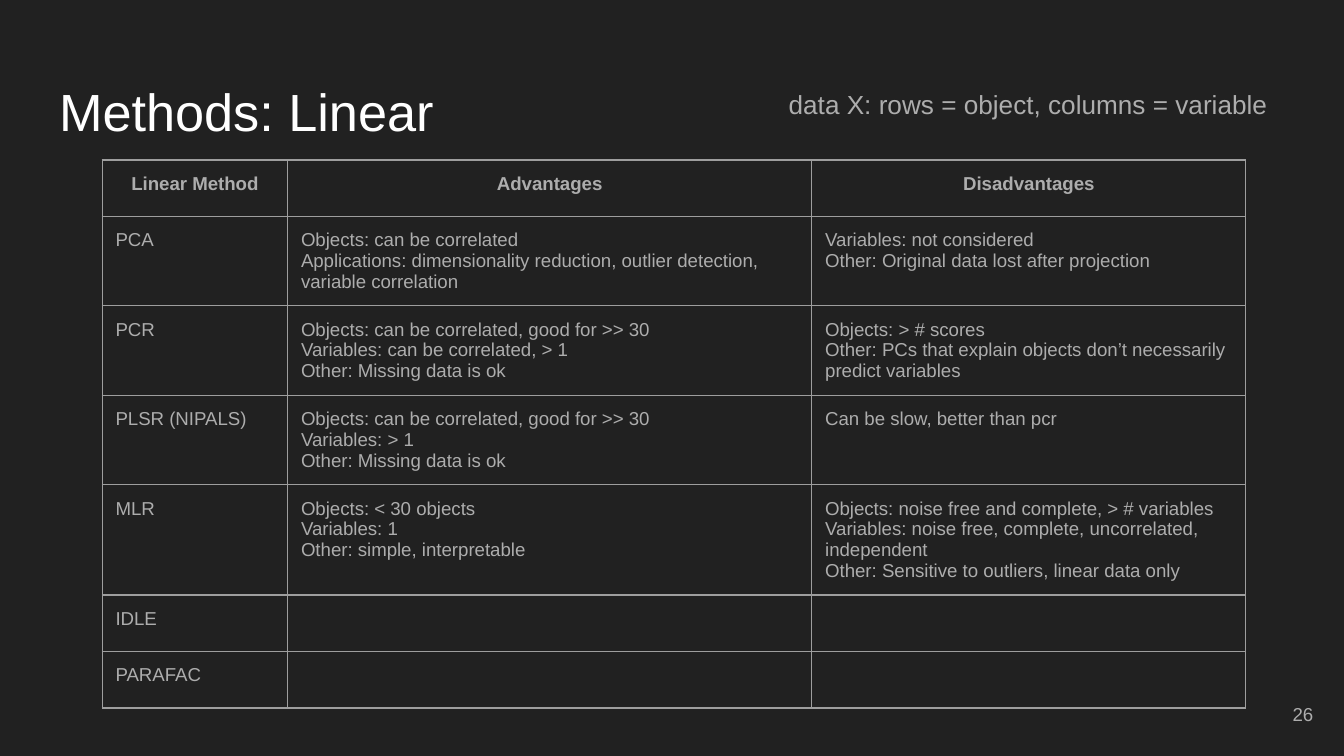
from pptx import Presentation
from pptx.dml.color import RGBColor
from pptx.enum.text import MSO_ANCHOR, PP_ALIGN
from pptx.oxml import parse_xml
from pptx.oxml.ns import nsdecls
from pptx.util import Inches, Pt

LEFT, CENTER, RIGHT = PP_ALIGN.LEFT, PP_ALIGN.CENTER, PP_ALIGN.RIGHT
TOP, MIDDLE = MSO_ANCHOR.TOP, MSO_ANCHOR.MIDDLE

FONT = "Arial"
COLORS = {"background": "212121", "title": "FFFFFF", "body": "ADADAD", "border": "9E9E9E"}
SLIDE_WIDTH = 10
SLIDE_HEIGHT = SLIDE_WIDTH * 9 / 16
INSET = 0.1
BORDER_WIDTH = 0.75
COLUMN_WIDTHS = [1.38, 3.9, 3.23]
ROW_HEIGHT = 0.42
TITLE_ONLY = 5

HEADER = ["Linear Method", "Advantages", "Disadvantages"]
METHODS = [
    ["PCA",
     "Objects: can be correlated\n"
     "Applications: dimensionality reduction, outlier detection, variable correlation",
     "Variables: not considered\nOther: Original data lost after projection"],
    ["PCR",
     "Objects: can be correlated, good for >> 30\n"
     "Variables: can be correlated, > 1\nOther: Missing data is ok",
     "Objects: > # scores\n"
     "Other: PCs that explain objects don’t necessarily predict variables"],
    ["PLSR (NIPALS)",
     "Objects: can be correlated, good for >> 30\nVariables: > 1\nOther: Missing data is ok",
     "Can be slow, better than pcr"],
    ["MLR",
     "Objects: < 30 objects\nVariables: 1\nOther: simple, interpretable",
     "Objects: noise free and complete, > # variables\n"
     "Variables: noise free, complete, uncorrelated, independent\n"
     "Other: Sensitive to outliers, linear data only"],
    ["IDLE", "", ""],
    ["PARAFAC", "", ""],
]


def write(frame, text, size=10, color="body", bold=False, align=LEFT):
    """Fill a text frame, one paragraph per line of text."""
    frame.word_wrap = True
    frame.text = text
    for paragraph in frame.paragraphs:
        paragraph.alignment = align
        for run in paragraph.runs:
            run.font.name = FONT
            run.font.size = Pt(size)
            run.font.bold = bold
            run.font.color.rgb = RGBColor.from_string(COLORS[color])
        if not paragraph.runs:  # keeps empty cells as low as the others
            paragraph._p.get_or_add_endParaRPr().set("sz", str(size * 100))


def set_insets(holder):
    holder.margin_left = holder.margin_right = Inches(INSET)
    holder.margin_top = holder.margin_bottom = Inches(INSET)


def add_title(slide, box, text):
    title = slide.shapes.title
    title.left, title.top, title.width, title.height = map(Inches, box)
    set_insets(title.text_frame)
    title.text_frame.vertical_anchor = TOP
    write(title.text_frame, text, size=28, color="title")


def add_label(slide, box, text, anchor=TOP, **text_format):
    frame = slide.shapes.add_textbox(*map(Inches, box)).text_frame
    set_insets(frame)
    frame.vertical_anchor = anchor
    write(frame, text, **text_format)


def add_borders(cell):
    properties = cell._tc.get_or_add_tcPr()
    for position, side in enumerate(("lnL", "lnR", "lnT", "lnB")):
        properties.insert(position, parse_xml(
            f'<a:{side} {nsdecls("a")} w="{Pt(BORDER_WIDTH)}"><a:solidFill>'
            f'<a:srgbClr val="{COLORS["border"]}"/></a:solidFill></a:{side}>'))


def add_methods_table(slide, left, top):
    rows = [HEADER] + METHODS
    table = slide.shapes.add_table(
        len(rows), len(HEADER), Inches(left), Inches(top),
        Inches(sum(COLUMN_WIDTHS)), Inches(ROW_HEIGHT * len(rows))).table
    table.first_row = table.horz_banding = False
    for column, width in zip(table.columns, COLUMN_WIDTHS):
        column.width = Inches(width)
    for row_index, texts in enumerate(rows):
        is_header = row_index == 0
        table.rows[row_index].height = Inches(ROW_HEIGHT)
        for column_index, text in enumerate(texts):
            cell = table.cell(row_index, column_index)
            set_insets(cell)
            cell.fill.background()
            add_borders(cell)
            write(cell.text_frame, text, bold=is_header,
                  align=CENTER if is_header else LEFT)


def build_methods_slide(presentation):
    slide = presentation.slides.add_slide(presentation.slide_layouts[TITLE_ONLY])
    background = slide.background.fill
    background.solid()
    background.fore_color.rgb = RGBColor.from_string(COLORS["background"])
    add_title(slide, (0.34, 0.49, 9.32, 0.63), "Methods: Linear")
    add_methods_table(slide, 0.76, 1.19)
    add_label(slide, (5.77, 0.56, 3.8, 0.43),
              "data X: rows = object, columns = variable", size=14)
    add_label(slide, (9.27, 5.1, 0.6, 0.43), "26", anchor=MIDDLE, align=RIGHT)


def main():
    presentation = Presentation()
    presentation.slide_width = Inches(SLIDE_WIDTH)
    presentation.slide_height = Inches(SLIDE_HEIGHT)
    build_methods_slide(presentation)
    presentation.save("out.pptx")


if __name__ == "__main__":
    main()
